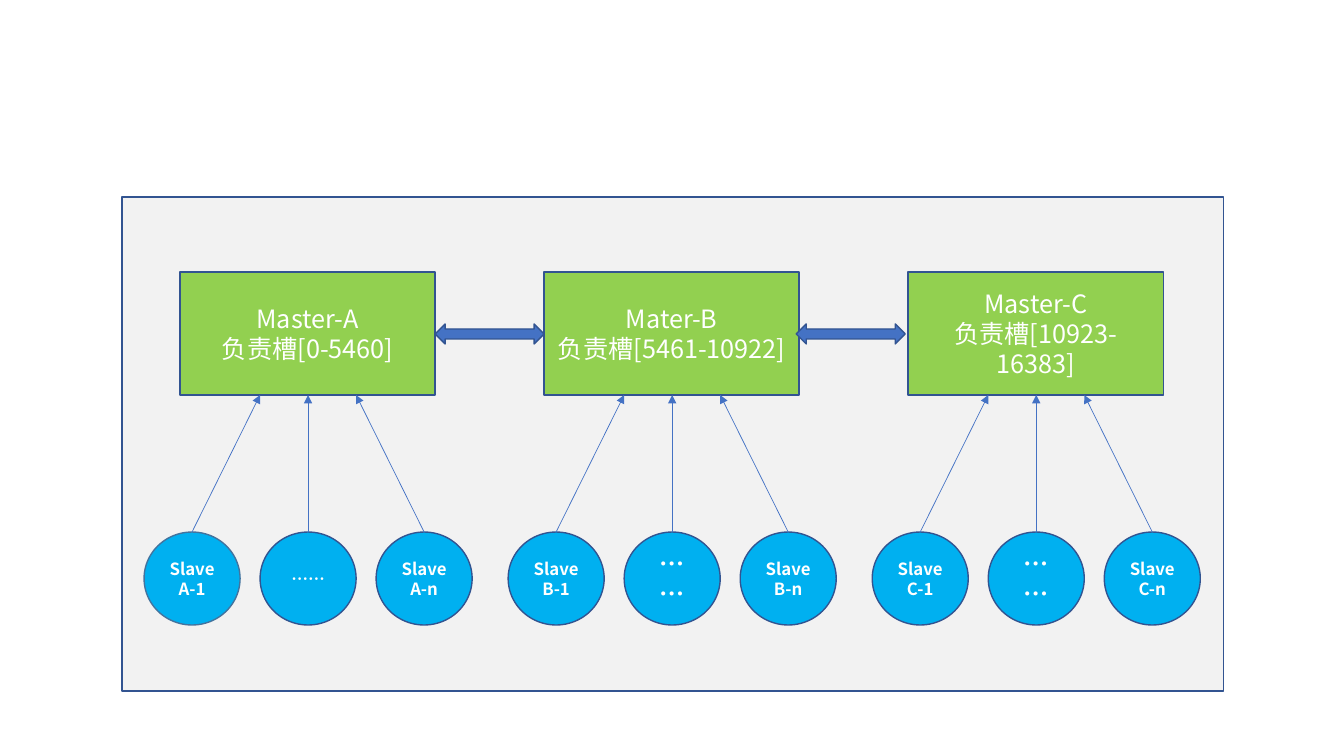
from lxml import etree
from pptx import Presentation, util as u
from pptx.dml.color import RGBColor
from pptx.enum import shapes, text
from pptx.oxml.ns import qn

MASTERS = [
    ("Master-A", "负责槽[0-5460]"),
    ("Mater-B", "负责槽[5461-10922]"),
    ("Master-C", "负责槽[10923-16383]"),
]
# Each slave: label, point size
SLAVES = [
    [("SlaveA-1", 12), ("……", 12), ("SlaveA-n", 12)],
    [("SlaveB-1", 12), ("……", 18), ("SlaveB-n", 12)],
    [("SlaveC-1", 12), ("……", 18), ("SlaveC-n", 12)],
]

FONT = "Noto Sans CJK SC"
WHITE = RGBColor(0xFF, 0xFF, 0xFF)
GREY = RGBColor(0xF2, 0xF2, 0xF2)
GREEN = RGBColor(0x92, 0xD0, 0x50)
CYAN = RGBColor(0x00, 0xB0, 0xF0)
BLUE = RGBColor(0x44, 0x72, 0xC4)
NAVY = RGBColor(0x32, 0x54, 0x91)
STEEL = RGBColor(0x43, 0x73, 0x9E)

SCALE = 914400 / 100.8  # EMU per pixel
PANEL = (122, 197, 1101, 494)
GROUP_PITCH = 364
MASTER_LEFT, MASTER_TOP, MASTER_W, MASTER_H = 180, 272, 255, 123
SLAVE_LEFT, SLAVE_TOP, SLAVE_W, SLAVE_H = 144, 532, 96, 93
SLAVE_PITCH = 116
TARGET_LEFT, TARGET_PITCH = 260, 48
LINK_LEFT, LINK_TOP, LINK_W, LINK_H = 435, 324, 109, 20
LINK_PITCH = 361


def px(*lengths):
    """Turn pixels into EMU."""
    return [u.Emu(round(length * SCALE)) for length in lengths]


def add_box(kind, box, fill, border=NAVY, lines=(), size=18, bold=False):
    """Add a filled, outlined shape with centred lines of text."""
    shape = slide.shapes.add_shape(kind, *px(*box))
    shape.shadow.inherit = False
    shape.fill.solid()
    shape.fill.fore_color.rgb = fill
    shape.line.color.rgb = border
    shape.line.width = u.Pt(1)
    frame = shape.text_frame
    frame.word_wrap = True
    frame.vertical_anchor = text.MSO_ANCHOR.MIDDLE
    font_format = {"name": FONT, "size": u.Pt(size), "bold": bold}
    for index, line in enumerate(lines):
        paragraph = frame.add_paragraph() if index else frame.paragraphs[0]
        paragraph.alignment = text.PP_ALIGN.CENTER
        run = paragraph.add_run()
        run.text = line
        run.font.color.rgb = WHITE
        for key, value in font_format.items():
            setattr(run.font, key, value)
        etree.SubElement(run._r.get_or_add_rPr(), qn("a:ea"), typeface=FONT)


def add_arrow(start, end):
    """Add a thin line with a triangle head at its end."""
    arrow = slide.shapes.add_connector(
        shapes.MSO_CONNECTOR.STRAIGHT, *px(*start, *end))
    arrow.line.color.rgb = BLUE
    arrow.line.width = u.Pt(0.5)
    etree.SubElement(arrow.line._get_or_add_ln(), qn("a:tailEnd"), type="triangle")
    etree.SubElement(arrow._element.spPr, qn("a:effectLst"))


deck = Presentation()
deck.slide_width, deck.slide_height = u.Inches(13.33), u.Inches(7.5)
slide = deck.slides.add_slide(deck.slide_layouts[6])

add_box(shapes.MSO_SHAPE.RECTANGLE, PANEL, GREY)

for group, (master, slaves) in enumerate(zip(MASTERS, SLAVES)):
    shift = group * GROUP_PITCH
    add_box(shapes.MSO_SHAPE.RECTANGLE,
            (MASTER_LEFT + shift, MASTER_TOP, MASTER_W, MASTER_H),
            GREEN, lines=master)
    for place, (label, size) in enumerate(slaves):
        left = SLAVE_LEFT + shift + place * SLAVE_PITCH
        border = STEEL if group == place == 0 else NAVY
        add_box(shapes.MSO_SHAPE.OVAL, (left, SLAVE_TOP, SLAVE_W, SLAVE_H),
                CYAN, border, [label], size, bold=True)
        target = TARGET_LEFT + shift + place * TARGET_PITCH
        add_arrow((left + SLAVE_W / 2, SLAVE_TOP),
                  (target, MASTER_TOP + MASTER_H))

for gap in range(len(MASTERS) - 1):
    add_box(shapes.MSO_SHAPE.LEFT_RIGHT_ARROW,
            (LINK_LEFT + gap * LINK_PITCH, LINK_TOP, LINK_W, LINK_H), BLUE)

deck.save("out.pptx")
